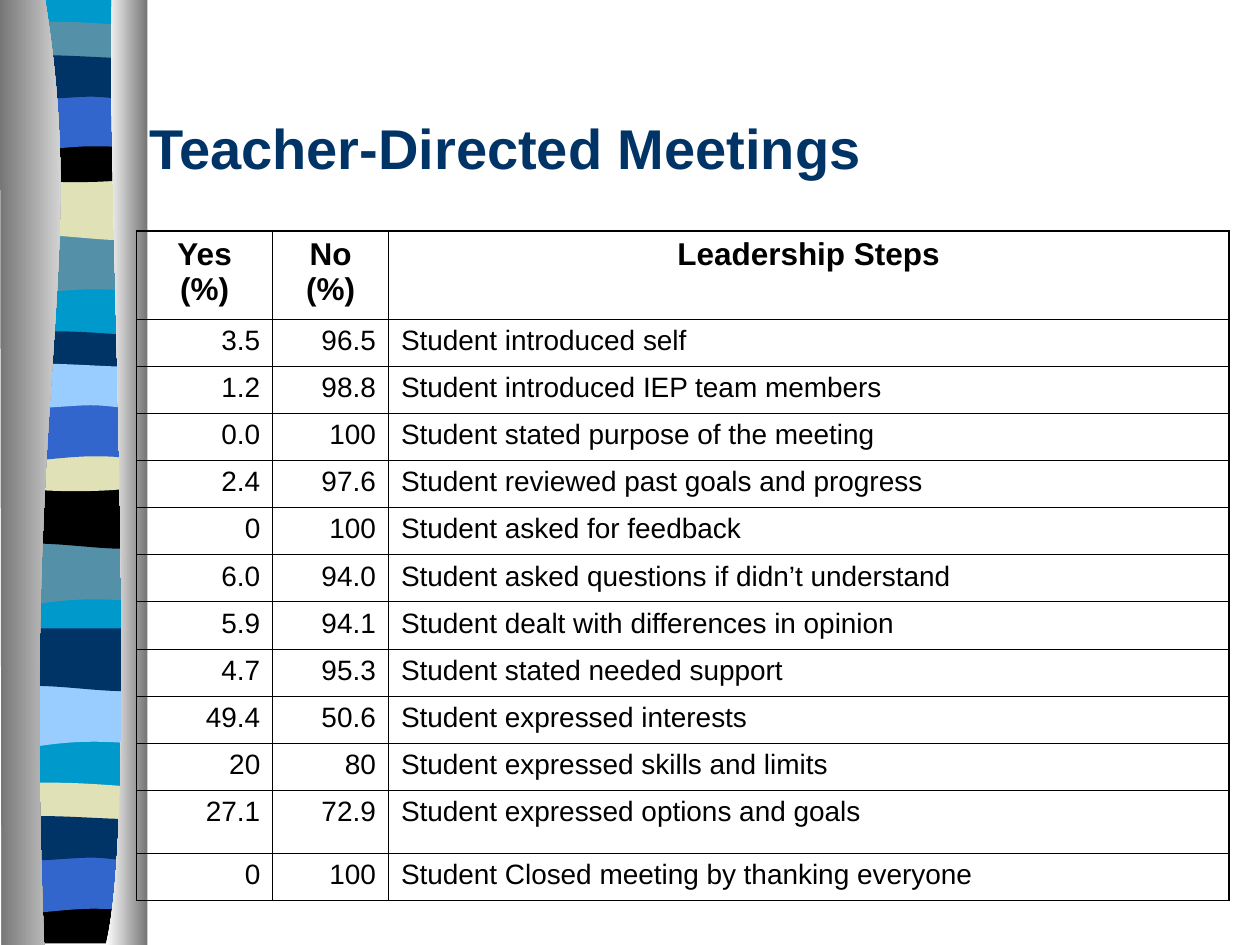
from pptx import Presentation
from pptx.dml.color import RGBColor
from pptx.enum import text
from pptx.oxml import parse_xml
from pptx.oxml import ns
from pptx.util import Cm, Pt

# Content
TITLE = "Teacher-Directed Meetings"
HEADER = ("Yes (%)", "No (%)", "Leadership Steps")
STEPS = [
    ("3.5", "96.5", "Student introduced self"),
    ("1.2", "98.8", "Student introduced IEP team members"),
    ("0.0", "100", "Student stated purpose of the meeting"),
    ("2.4", "97.6", "Student reviewed past goals and progress"),
    ("0", "100", "Student asked for feedback"),
    ("6.0", "94.0", "Student asked questions if didn’t understand"),
    ("5.9", "94.1", "Student dealt with differences in opinion"),
    ("4.7", "95.3", "Student stated needed support"),
    ("49.4", "50.6", "Student expressed interests"),
    ("20", "80", "Student expressed skills and limits"),
    ("27.1", "72.9", "Student expressed options and goals"),
    ("0", "100", "Student Closed meeting by thanking everyone"),
]
COL_WIDTHS = (2.75, 2.33, 16.94)
ROW_HEIGHTS = [1.78] + [0.95] * 10 + [1.27, 0.95]

# Colours
FONT = "Arial"
NAVY = RGBColor(0x00, 0x33, 0x66)
BLACK = RGBColor(0x00, 0x00, 0x00)
CYAN = RGBColor(0x00, 0x99, 0xCC)
TEAL = RGBColor(0x54, 0x90, 0xA8)
SAND = RGBColor(0xE1, 0xE1, 0xB7)
BLUE = RGBColor(0x33, 0x66, 0xCC)
SKY = RGBColor(0x99, 0xCC, 0xFF)
GREY = RGBColor(0x76, 0x76, 0x76)
WHITE = RGBColor(0xFF, 0xFF, 0xFF)

# Outlines in cm: pairs are line ends, sextuples are Bezier curves
L, R = 0.15, 2.9
BACKING = [(R, 0), (R, 18.97), (L, 18.97), (L, 0)]
WAVE = [(R, 0), (R, 1.19), (0.99, 0.99, 0.61, 1.4, L, 1.19), (L, 0)]
ROLL = [(R, 0), (R, 1.2), (2.44, 1.4, 0.99, 1.04, L, 1.2), (L, 0)]
SLAB = [(R, 0.13), (R, 0.74), (2.44, 0.84, 0.61, 0.84, L, 0.74), (L, 0.13),
        (0.3, 0, 0.74, 0.03, 1.19, 0.03), (1.65, 0.03, 2.54, 0.1, R, 0.13)]
CAP = [(R, 0), (R, 0.82), (2.44, 0.97, 0.61, 0.97, L, 0.82), (L, 0),
       (1.83, 0.13, 2.31, 0, R, 0)]
FOOT = [(R, 0), (R, 0.94), (L, 0.94), (L, 0), (1.83, 0.13, 2.31, 0, R, 0)]
ARCH = [(R, 0), (R, 1.19), (2.46, 1.07, 2.29, 1.07, 1.83, 1.07),
        (1.37, 1.07, 0.56, 1.19, L, 1.19), (L, 0)]
RIPPLE = [(R, 0.13), (R, 0.91), (2.72, 1.04, 2.29, 0.91, 1.83, 0.91),
          (1.37, 0.91, 0.43, 1.04, L, 0.91), (L, 0.13),
          (0.53, 0, 2.01, 0.13, 2.46, 0.13), (R, 0.13)]
LEFT_EDGE = [(0.91, 0), (1.8, 5.52, 0.43, 7.55, 0.89, 19.05), (0.03, 19.05), (0, 0)]
RIGHT_EDGE = [(2.26, 0), (2.13, 3.21, 2.84, 16.44, 2.13, 19.05), (2.97, 19.05), (2.97, 0)]

# Bands from back to front: outline, top, colour
BANDS = [
    (BACKING, 0, CYAN),
    (WAVE, 4.7, TEAL), (ROLL, 3.58, SAND), (SLAB, 0.41, TEAL),
    (CAP, 2.74, BLACK), (ARCH, 1.88, BLUE), (RIPPLE, 1.04, NAVY),
    (WAVE, 10.95, TEAL), (ROLL, 9.8, BLACK), (SLAB, 6.65, NAVY),
    (CAP, 8.97, SAND), (ARCH, 8.13, BLUE), (RIPPLE, 7.26, SKY),
    (WAVE, 13.82, SKY), (ROLL, 12.67, NAVY), (SLAB, 15.75, SAND),
    (FOOT, 18.08, BLACK), (ARCH, 17.25, BLUE), (RIPPLE, 16.38, NAVY),
]
EDGES = [(LEFT_EDGE, GREY, WHITE), (RIGHT_EDGE, WHITE, GREY)]


def add_outline(shapes, outline, top=0):
    points = [(Cm(seg[k]), Cm(seg[k + 1] + top))
              for seg in outline for k in range(0, len(seg), 2)]
    builder = shapes.build_freeform(*points[0])
    builder.add_line_segments(points[1:])
    sp = builder.convert_to_shape()
    sp.shadow.inherit = False
    sp.line.fill.background()
    # Join each run of three control points into one curve
    geom = sp._element.xpath(".//a:path")[0]
    ends = iter(geom.findall(ns.qn("a:lnTo")))
    for seg in outline[1:]:
        curve = next(ends)
        if len(seg) == 6:
            curve.tag = ns.qn("a:cubicBezTo")
            for extra in (next(ends), next(ends)):
                curve.append(extra[0])
                geom.remove(extra)
    return sp


def set_borders(cell, widths):
    tc_pr = cell._tc.get_or_add_tcPr()
    for side, width in widths.items():
        tc_pr.append(parse_xml(
            f'<a:ln{side} {ns.nsdecls("a")} w="{Pt(width)}"><a:solidFill>'
            f'<a:srgbClr val="{BLACK}"/></a:solidFill></a:ln{side}>'))


prs = Presentation()
prs.slide_width, prs.slide_height = Cm(25.4), Cm(19.05)
s = prs.slides.add_slide(prs.slide_layouts[5])

# Striped ribbon between two shaded edges
ribbon = s.shapes.add_group_shape()
for outline, top, color in BANDS:
    sp = add_outline(ribbon.shapes, outline, top)
    sp.fill.solid()
    sp.fill.fore_color.rgb = color
for outline, start, end in EDGES:
    sp = add_outline(ribbon.shapes, outline)
    sp.fill.gradient()
    sp.fill.gradient_angle = 0
    for stop, color in zip(sp.fill.gradient_stops, (start, end)):
        stop.color.rgb = color

# Title
title = s.shapes.title
title.left, title.top, title.width, title.height = Cm(2.75), Cm(1.7), Cm(21.59), Cm(2.54)
tf = title.text_frame
tf.text = TITLE
tf.vertical_anchor = text.MSO_ANCHOR.MIDDLE
p = tf.paragraphs[0]
p.alignment = text.PP_ALIGN.LEFT
p.font.name, p.font.size, p.font.bold = FONT, Pt(32), True
p.font.color.rgb = NAVY

# Table
rows = [HEADER] + STEPS
table = s.shapes.add_table(len(rows), len(HEADER), Cm(2.75), Cm(4.65),
                           Cm(sum(COL_WIDTHS)), Cm(sum(ROW_HEIGHTS))).table
table.first_row = table.horz_banding = False
for column, width in zip(table.columns, COL_WIDTHS):
    column.width = Cm(width)
for row, height in zip(table.rows, ROW_HEIGHTS):
    row.height = Cm(height)
THIN, THICK = 0.45, 1.08
last_row, last_col = len(rows) - 1, len(HEADER) - 1
for i, values in enumerate(rows):
    for j, value in enumerate(values):
        cell = table.cell(i, j)
        set_borders(cell, {"L": THICK if j == 0 else THIN,
                           "R": THICK if j == last_col else THIN,
                           "T": THICK if i == 0 else THIN,
                           "B": THICK if i == last_row else THIN})
        cell.fill.background()
        cell.text = value
        p = cell.text_frame.paragraphs[0]
        if i == 0:
            p.alignment = text.PP_ALIGN.CENTER
        else:
            p.alignment = text.PP_ALIGN.LEFT if j == last_col else text.PP_ALIGN.RIGHT
        p.font.name, p.font.size, p.font.bold = FONT, Pt(18 if i == 0 else 16), i == 0
        p.font.color.rgb = BLACK

prs.save("out.pptx")
